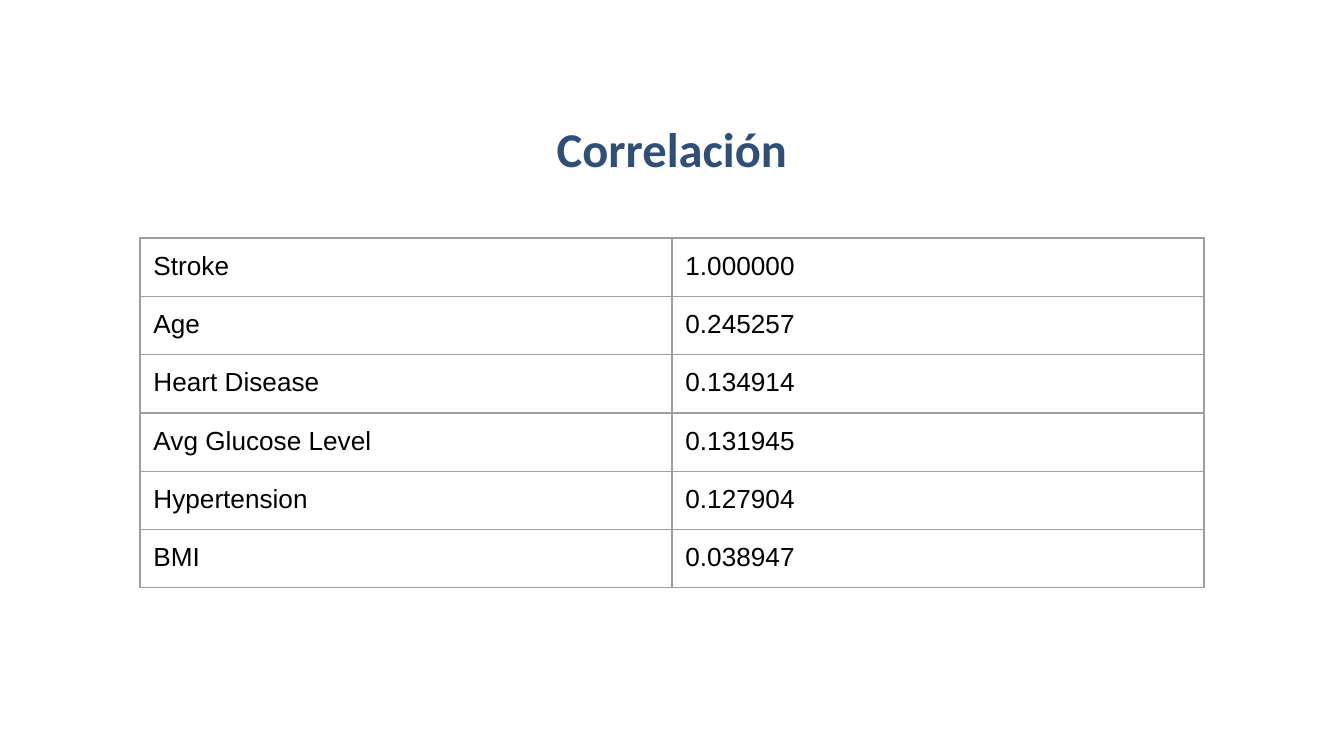
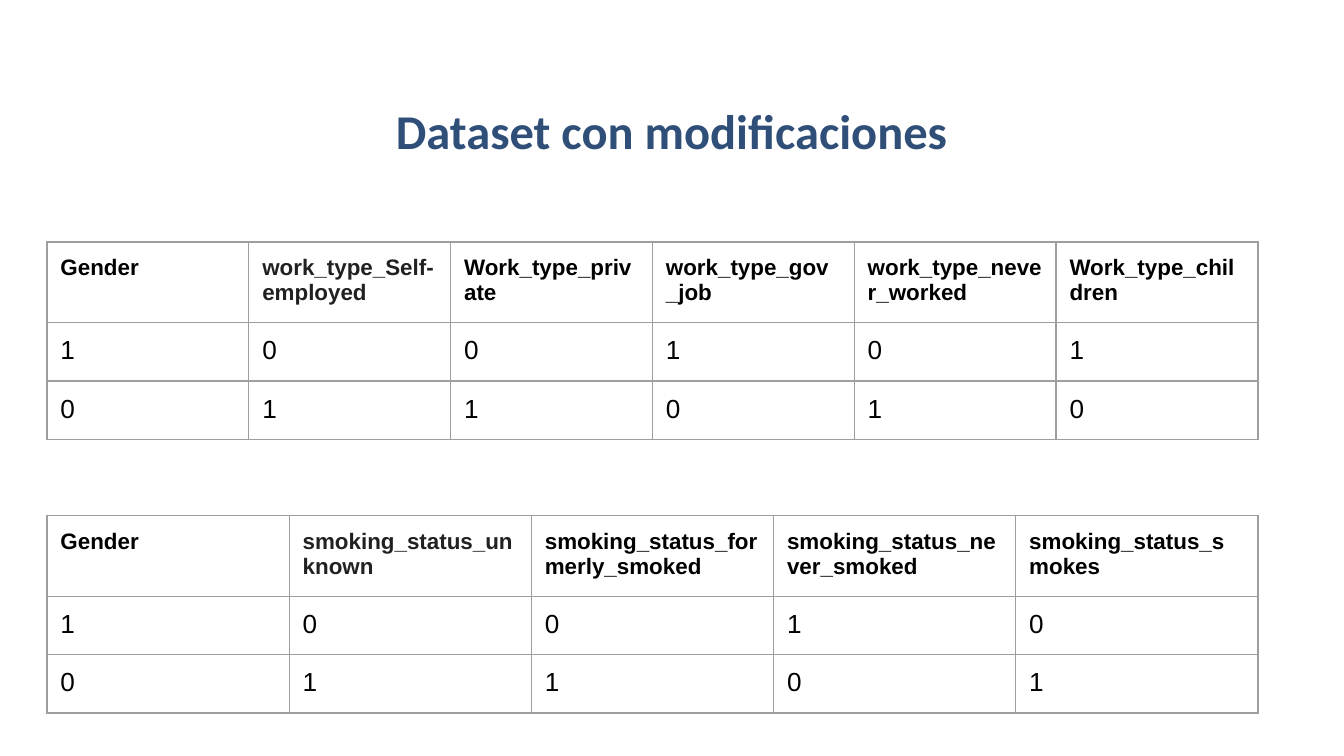
from dataclasses import dataclass

import pptx
import pptx.dml.color
import pptx.enum.text
import pptx.oxml
import pptx.oxml.ns
import pptx.util

Pt = pptx.util.Pt
RGB = pptx.dml.color.RGBColor.from_string


@dataclass(frozen=True)
class Theme:
    title_font: str = "Calibri"
    body_font: str = "Arial"
    title_color: str = "2F4F78"
    text_color: str = "000000"
    accent_color: str = "212121"
    border_color: str = "9E9E9E"
    border_width: float = 0.75
    title_size: int = 26
    header_size: int = 12
    body_size: int = 14
    cell_inset: float = 7.2


THEME = Theme()

CORRELATIONS = [
    ["Stroke", "1.000000"],
    ["Age", "0.245257"],
    ["Heart Disease", "0.134914"],
    ["Avg Glucose Level", "0.131945"],
    ["Hypertension", "0.127904"],
    ["BMI", "0.038947"],
]
WORK_TYPES = [
    ["Gender", "work_type_Self-employed", "Work_type_private",
     "work_type_gov_job", "work_type_never_worked", "Work_type_children"],
    list("100101"),
    list("011010"),
]
SMOKING_STATUSES = [
    ["Gender", "smoking_status_unknown", "smoking_status_formerly_smoked",
     "smoking_status_never_smoked", "smoking_status_smokes"],
    list("10010"),
    list("01101"),
]


def add_run(p, text, font, size, color, bold=False):
    r = p.add_run()
    r.text = text
    r.font.name = font
    r.font.size = Pt(size)
    r.font.bold = bold
    r.font.color.rgb = RGB(color)


def add_title(s, box, text):
    sp = s.shapes.add_textbox(*map(Pt, box))
    tf = sp.text_frame
    tf.word_wrap = True
    tf.vertical_anchor = pptx.enum.text.MSO_ANCHOR.BOTTOM
    tf.margin_left = tf.margin_right = Pt(5)
    tf.margin_top = tf.margin_bottom = Pt(2.7)
    p = tf.paragraphs[0]
    p.alignment = pptx.enum.text.PP_ALIGN.CENTER
    p.line_spacing = 0.9
    add_run(p, text, THEME.title_font, THEME.title_size, THEME.title_color, True)


def style_cell(cell):
    cell.fill.background()
    cell.margin_left = cell.margin_right = Pt(THEME.cell_inset)
    cell.margin_top = cell.margin_bottom = Pt(THEME.cell_inset)
    tc_pr = cell._tc.get_or_add_tcPr()
    for i, side in enumerate("LRTB"):
        border = pptx.oxml.parse_xml(
            f'<a:ln{side} {pptx.oxml.ns.nsdecls("a")} w="{Pt(THEME.border_width)}">'
            f'<a:solidFill><a:srgbClr val="{THEME.border_color}"/></a:solidFill>'
            f'</a:ln{side}>')
        tc_pr.insert(i, border)


def add_grid(s, box, rows, header_height=None):
    left, top, width, height = map(Pt, box)
    table = s.shapes.add_table(
        len(rows), len(rows[0]), left, top, width, height).table
    table.first_row = table.horz_banding = False
    if header_height:
        table.rows[0].height = Pt(header_height)
        for row in list(table.rows)[1:]:
            row.height = int((height - Pt(header_height)) / (len(rows) - 1))
    for i, values in enumerate(rows):
        is_header = bool(header_height) and i == 0
        size = THEME.header_size if is_header else THEME.body_size
        for j, value in enumerate(values):
            cell = table.cell(i, j)
            style_cell(cell)
            color = THEME.accent_color if is_header and j == 1 else THEME.text_color
            add_run(cell.text_frame.paragraphs[0], value,
                    THEME.body_font, size, color, is_header)


def add_blank_slide(prs):
    return prs.slides.add_slide(prs.slide_layouts[6])


def build_correlation(prs):
    s = add_blank_slide(prs)
    add_title(s, (133.5, 67, 453, 31), "Correlación")
    add_grid(s, (75, 127.5, 570, 180.6), CORRELATIONS)


def build_dataset(prs):
    s = add_blank_slide(prs)
    add_title(s, (151, 57.5, 418, 31), "Dataset con modificaciones")
    left, width, header_height = 25.2, 648.8, 43.2
    add_grid(s, (left, 129.6, width, 103.4), WORK_TYPES, header_height)
    add_grid(s, (left, 276.3, width, 105.4), SMOKING_STATUSES, header_height)


def main():
    prs = pptx.Presentation()
    prs.slide_width, prs.slide_height = Pt(720), Pt(405)
    build_correlation(prs)
    build_dataset(prs)
    prs.save("out.pptx")


if __name__ == "__main__":
    main()
